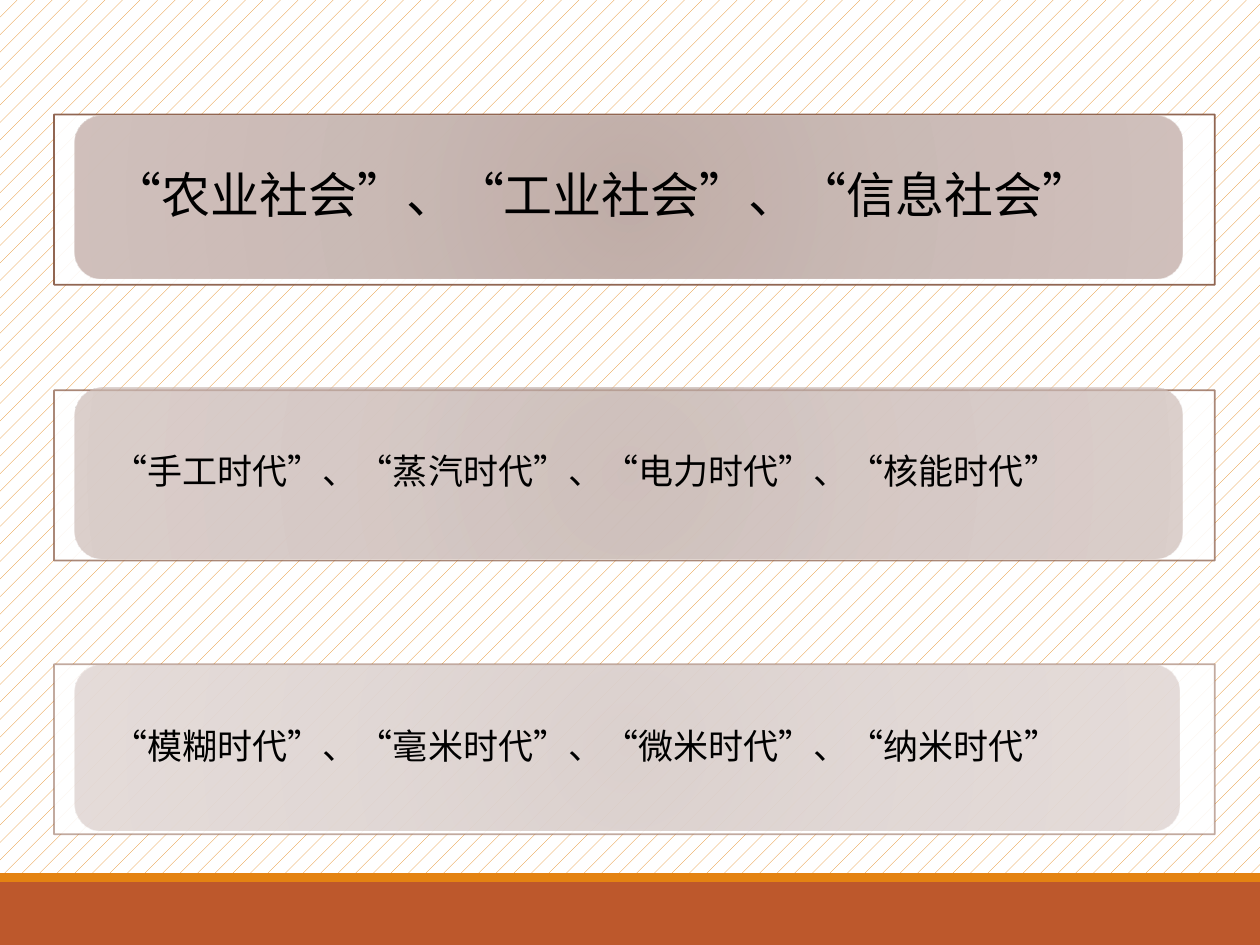
from lxml.etree import SubElement
from pptx import Presentation
from pptx.dml.color import RGBColor
from pptx.enum.dml import MSO_PATTERN
from pptx.enum.lang import MSO_LANGUAGE_ID
from pptx.enum.shapes import MSO_SHAPE
from pptx.enum.text import MSO_ANCHOR
from pptx.oxml import parse_xml
from pptx.oxml.ns import nsdecls, qn
from pptx.util import Cm, Pt

COLORS = {
    "white": "FFFFFF",
    "text": "000000",
    "accent": "E48312",
    "footer": "BD582C",
    "frame": "865640",
    "bar_start": "B9A49E",
    "bar_middle": "C4B2AD",
    "bar_end": "CCBAB5",
}
ERAS = [
    dict(text="“农业社会”、“工业社会”、“信息社会”", size=28, opacity=90,
         top=2.31, bar_shift=0.03, bar_width=22.33, bar_height=3.28),
    dict(text="“手工时代”、“蒸汽时代”、“电力时代”、“核能时代”", size=20, opacity=70,
         top=7.87, bar_shift=-0.05, bar_width=22.33, bar_height=3.43),
    dict(text="“模糊时代”、“毫米时代”、“微米时代”、“纳米时代”", size=20, opacity=50,
         top=13.39, bar_shift=0.02, bar_width=22.28, bar_height=3.33),
]


def rgb(name):
    """Return the named palette colour."""
    return RGBColor.from_string(COLORS[name])


def set_opacity(fill_parent, percent):
    """Make the solid fill inside an element partly transparent."""
    color = fill_parent.find(qn("a:solidFill"))[0]
    SubElement(color, qn("a:alpha"), val=str(percent * 1000))


def add_panel(slide, box, color, kind=MSO_SHAPE.RECTANGLE):
    """Add a borderless filled shape in a box given in centimetres."""
    panel = slide.shapes.add_shape(kind, *map(Cm, box))
    panel.shadow.inherit = False
    panel.fill.solid()
    panel.fill.fore_color.rgb = rgb(color)
    panel.line.fill.background()
    return panel


def add_text(slide, box, text, size, color="text", font="Calibri", margin=0.61):
    """Add one vertically centred line of text."""
    label = slide.shapes.add_textbox(*map(Cm, box))
    frame = label.text_frame
    frame.word_wrap = True
    frame.vertical_anchor = MSO_ANCHOR.MIDDLE
    frame.margin_left = frame.margin_right = Cm(margin)
    frame.margin_top = frame.margin_bottom = 0
    paragraph = frame.paragraphs[0]
    paragraph.line_spacing = 0.9
    run = paragraph.add_run()
    run.text = text
    run.font.name = font
    run.font.size = Pt(size)
    run.font.color.rgb = rgb(color)
    run.font.language_id = MSO_LANGUAGE_ID.SIMPLIFIED_CHINESE


def add_circular_gradient(bar, opacity):
    """Replace the solid fill of a bar with a transparent circular gradient."""
    stops = "".join(
        f'<a:gs pos="{position * 1000}"><a:srgbClr val="{COLORS[name]}">'
        f'<a:alpha val="{opacity * 1000}"/></a:srgbClr></a:gs>'
        for position, name in ((0, "bar_start"), (45, "bar_middle"), (100, "bar_end"))
    )
    gradient = parse_xml(
        f'<a:gradFill {nsdecls("a")} rotWithShape="1"><a:gsLst>{stops}</a:gsLst>'
        '<a:path path="circle"><a:fillToRect l="100000" t="100000" r="100000" b="100000"/>'
        "</a:path></a:gradFill>"
    )
    properties = bar.element.spPr
    properties.replace(properties.find(qn("a:solidFill")), gradient)


def add_era(slide, box, text, size, opacity, bar_shift, bar_width, bar_height):
    """Draw a framed row with a rounded bar and its list of eras."""
    left, top, _, _ = box
    frame = add_panel(slide, box, "white")
    set_opacity(frame.element.spPr, 90)
    frame.line.color.rgb = rgb("frame")
    frame.line.width = Pt(1)
    set_opacity(frame.element.spPr.find(qn("a:ln")), opacity)

    bar_left, bar_top = left + 0.41, top + bar_shift
    bar = add_panel(slide, (bar_left, bar_top, bar_width, bar_height),
                    "bar_start", MSO_SHAPE.ROUNDED_RECTANGLE)
    add_circular_gradient(bar, opacity)

    inset = 0.16
    text_box = (bar_left + inset, bar_top + inset,
                bar_width - 2 * inset, bar_height - 2 * inset)
    add_text(slide, text_box, text, size)


def add_footer(slide, box):
    """Draw the footer band with the accent strip along its top."""
    left, top, width, height = box
    strip = 0.18
    add_panel(slide, (left, top + strip, width, height - strip), "footer")
    add_panel(slide, (left, top, width, strip), "accent")


def add_background(slide):
    """Fill the slide background with the accent pattern."""
    fill = slide.background.fill
    fill.patterned()
    fill.pattern = MSO_PATTERN.PERCENT_5
    fill.fore_color.rgb = rgb("accent")
    fill.back_color.rgb = rgb("white")


def main():
    """Build and save the slide."""
    presentation = Presentation()
    presentation.slide_width, presentation.slide_height = Cm(25.4), Cm(19.05)
    slide = presentation.slides.add_slide(presentation.slide_layouts[6])
    add_background(slide)
    add_footer(slide, (0, 17.6, 25.4, 1.45))
    for era in ERAS:
        details = {key: value for key, value in era.items() if key != "top"}
        add_era(slide, (1.09, era["top"], 23.4, 3.43), **details)
    presentation.save("out.pptx")


if __name__ == "__main__":
    main()
